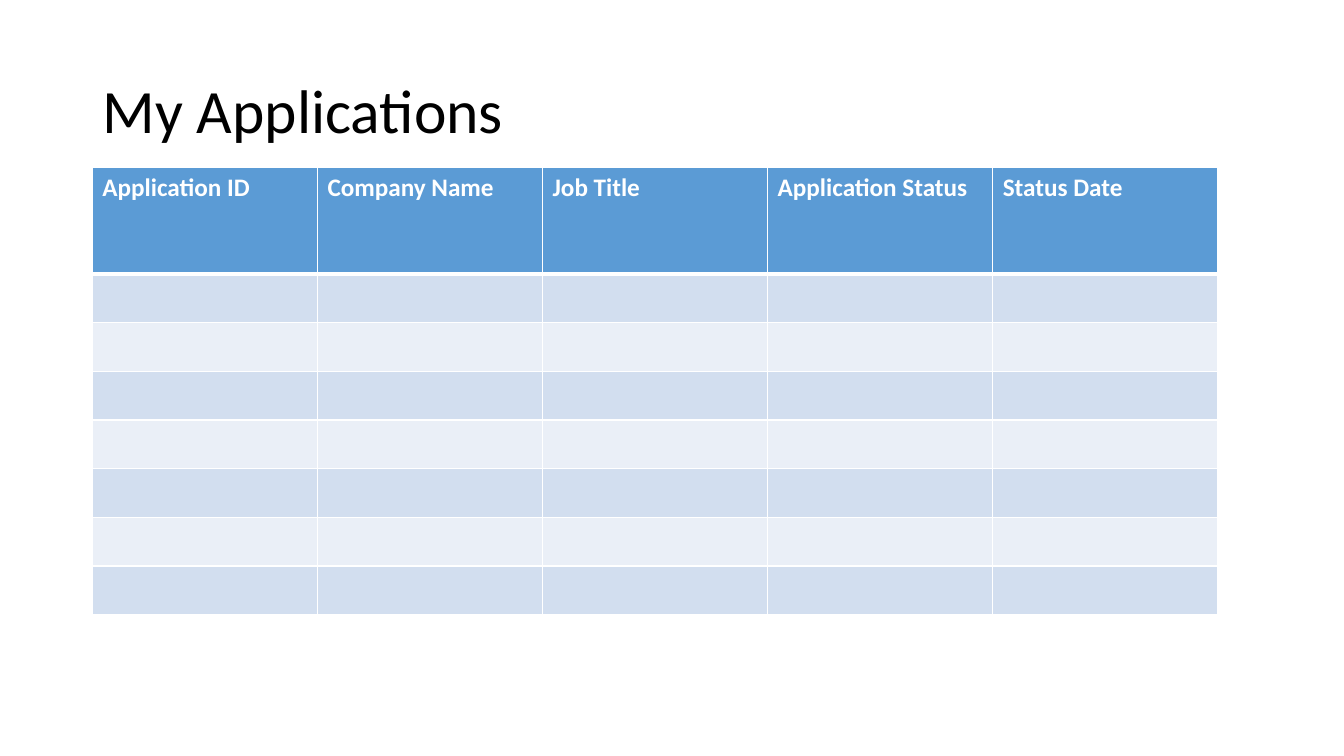
from lxml.etree import SubElement as Sub
from pptx import Presentation
from pptx.dml.color import RGBColor
from pptx.enum.text import MSO_ANCHOR, MSO_AUTO_SIZE, PP_ALIGN
from pptx.oxml.ns import qn
from pptx.util import Pt

TITLE = "My Applications"
HEADS = ["Application ID", "Company Name", "Job Title",
         "Application Status", "Status Date"]
BLANKS = 7
BLUE, WHITE, BLACK = "5B9BD5", "FFFFFF", "000000"
BANDS = ["D2DEEF", "EAEFF7"]
LEFT, TOP = 66, 119.5
COL_W, HEAD_H, ROW_H = 160.8, 76.3, 34.77


def paint(fill, color):
    fill.solid()
    fill.fore_color.rgb = RGBColor.from_string(color)


def style(para, size, color, bold):
    para.alignment = PP_ALIGN.LEFT
    for run in para.runs:
        font = run.font
        font.name, font.size, font.bold = "Calibri", Pt(size), bold
        paint(font.fill, color)


def border(cell, low):
    props = cell._tc.get_or_add_tcPr()
    sides = [("L", 1), ("R", 1), ("T", 1), ("B", low)]
    for spot, (side, width) in enumerate(sides):
        line = Sub(props, qn("a:ln" + side), w=str(Pt(width)))
        Sub(Sub(line, qn("a:solidFill")), qn("a:srgbClr"), val=WHITE)
        props.insert(spot, line)


deck = Presentation()
deck.slide_width, deck.slide_height = Pt(960), Pt(540)
slide = deck.slides.add_slide(deck.slide_layouts[5])

title = slide.shapes.title
title.left, title.top = Pt(LEFT), Pt(28.8)
title.width, title.height = Pt(828), Pt(104.4)
frame = title.text_frame
frame.text = TITLE
frame.word_wrap = True
frame.auto_size = MSO_AUTO_SIZE.NONE
frame.vertical_anchor = MSO_ANCHOR.MIDDLE
frame.paragraphs[0].line_spacing = 0.9
style(frame.paragraphs[0], 44, BLACK, False)

rows = [HEADS] + [[""] * len(HEADS)] * BLANKS
table = slide.shapes.add_table(
    len(rows), len(HEADS), Pt(LEFT), Pt(TOP),
    Pt(COL_W * len(HEADS)), Pt(HEAD_H + ROW_H * BLANKS)).table
for col in table.columns:
    col.width = Pt(COL_W)
for r, row in enumerate(rows):
    table.rows[r].height = Pt(ROW_H if r else HEAD_H)
    for c, text in enumerate(row):
        cell = table.cell(r, c)
        cell.text = text
        paint(cell.fill, BANDS[(r - 1) % 2] if r else BLUE)
        style(cell.text_frame.paragraphs[0], 18, WHITE, True)
        border(cell, 1 if r else 3)
    if r == 1:
        for cell in table.rows[r].cells:
            cell._tc.tcPr.find(qn("a:lnT")).set("w", str(Pt(3)))

deck.save("out.pptx")
